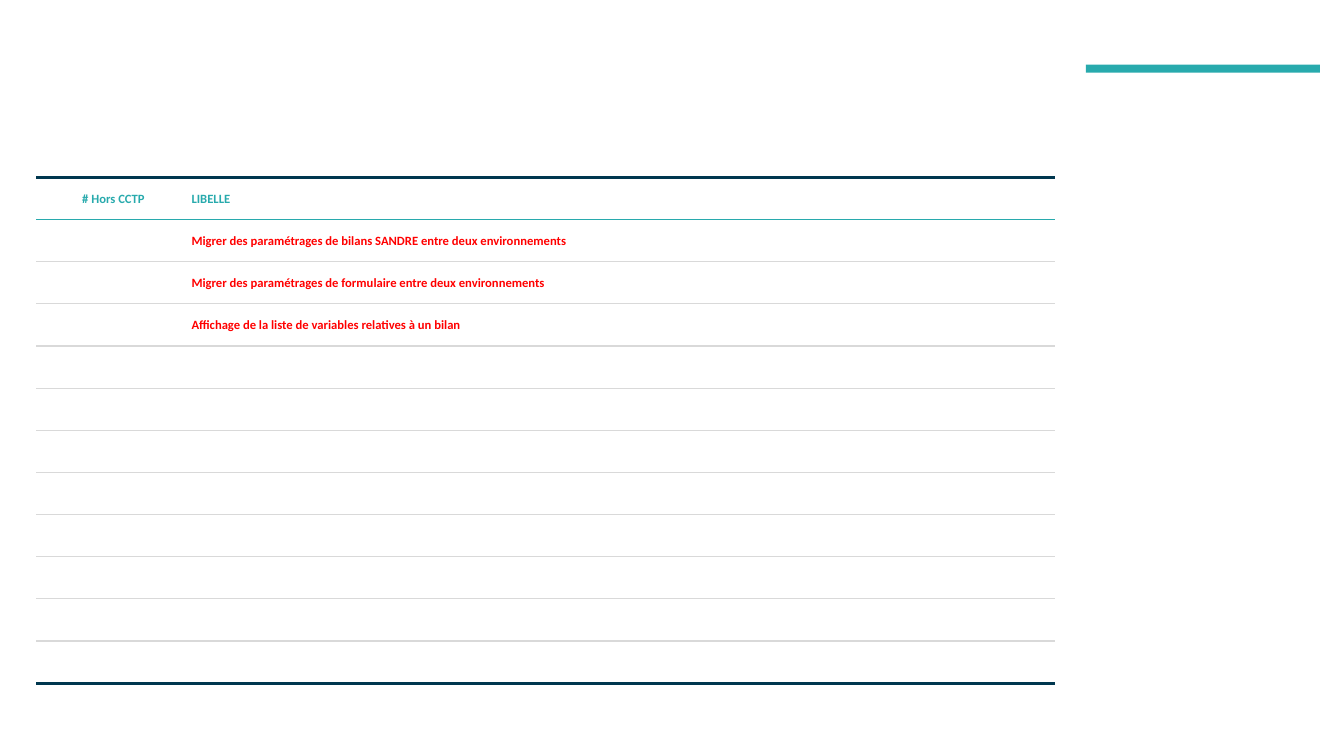
import dataclasses

import pptx
import pptx.dml.color
import pptx.enum.text
import pptx.oxml
import pptx.oxml.ns
import pptx.util

SLIDE_WIDTH, SLIDE_HEIGHT = 13.33, 7.5
TABLE_LEFT, TABLE_TOP = 0.36, 1.76
TABLE_HEIGHT = 5.02
COLUMN_WIDTHS = (1.53, 8.57)
ROW_COUNT = 12

WHITE, TEAL, NAVY, GREY, RED = "FFFFFF", "28AAAD", "00374F", "D9D9D9", "FF0000"


@dataclasses.dataclass(frozen=True)
class Rule:
    color: str
    points: float


@dataclasses.dataclass(frozen=True)
class Row:
    number: str = ""
    label: str = ""
    color: str = RED


OUTER_RULE, HEADER_RULE, ROW_RULE = Rule(NAVY, 2.25), Rule(TEAL, 1), Rule(GREY, 1)

FILLED_ROWS = [
    Row("# Hors CCTP", "LIBELLE", TEAL),
    Row(label="Migrer des paramétrages de bilans SANDRE entre deux environnements"),
    Row(label="Migrer des paramétrages de formulaire entre deux environnements"),
    Row(label="Affichage de la liste de variables relatives à un bilan"),
]
ROWS = FILLED_ROWS + [Row()] * (ROW_COUNT - len(FILLED_ROWS))
# One rule above each row, and one below the last
RULES = [OUTER_RULE, HEADER_RULE] + [ROW_RULE] * (ROW_COUNT - 2) + [OUTER_RULE]


def rgb(color: str) -> pptx.dml.color.RGBColor:
    return pptx.dml.color.RGBColor.from_string(color)


def paint(shape, color: str) -> None:
    shape.fill.solid()
    shape.fill.fore_color.rgb = rgb(color)


def add_borders(cell, top: Rule, bottom: Rule) -> None:
    """Draw the horizontal borders and clear the vertical ones; call before filling."""
    properties = cell._tc.get_or_add_tcPr()
    namespace = pptx.oxml.ns.nsdecls("a")
    for side, rule in (("L", None), ("R", None), ("T", top), ("B", bottom)):
        if rule is None:
            xml = f'<a:ln{side} {namespace} w="0"><a:noFill/></a:ln{side}>'
        else:
            xml = (
                f'<a:ln{side} {namespace} w="{pptx.util.Pt(rule.points)}"><a:solidFill>'
                f'<a:srgbClr val="{rule.color}"/></a:solidFill></a:ln{side}>'
            )
        properties.append(pptx.oxml.parse_xml(xml))


def write_cell(cell, text: str, color: str, alignment) -> None:
    cell.vertical_anchor = pptx.enum.text.MSO_ANCHOR.MIDDLE
    cell.margin_left = cell.margin_right = cell.margin_top = pptx.util.Inches(0.01)
    cell.margin_bottom = 0
    para = cell.text_frame.paragraphs[0]
    para.text = text
    para.alignment = alignment
    for font in [para.font] + [span.font for span in para.runs]:
        font.name = "Calibri"
        font.size = pptx.util.Pt(9)
        font.bold = True
        font.color.rgb = rgb(color)


def add_accent_bar(page) -> None:
    bar = page.shapes.add_shape(
        pptx.enum.shapes.MSO_SHAPE.RECTANGLE,
        *(pptx.util.Inches(length) for length in (10.77, 0.64, 2.32, 0.08)),
    )
    bar.shadow.inherit = False
    paint(bar, TEAL)
    bar.line.fill.background()


def add_requirements_table(page) -> None:
    frame = page.shapes.add_table(
        ROW_COUNT,
        len(COLUMN_WIDTHS),
        *(
            pptx.util.Inches(length)
            for length in (TABLE_LEFT, TABLE_TOP, sum(COLUMN_WIDTHS), TABLE_HEIGHT)
        ),
    )
    table = frame.table
    table.first_row = table.horz_banding = False
    for column, width in zip(table.columns, COLUMN_WIDTHS):
        column.width = pptx.util.Inches(width)
    alignments = (pptx.enum.text.PP_ALIGN.CENTER, pptx.enum.text.PP_ALIGN.LEFT)
    for index, row in enumerate(ROWS):
        texts = (row.number, row.label)
        for cell, text, alignment in zip(table.rows[index].cells, texts, alignments):
            add_borders(cell, RULES[index], RULES[index + 1])
            paint(cell, WHITE)
            write_cell(cell, text, row.color, alignment)


def main() -> None:
    deck = pptx.Presentation()
    deck.slide_width = pptx.util.Inches(SLIDE_WIDTH)
    deck.slide_height = pptx.util.Inches(SLIDE_HEIGHT)
    page = deck.slides.add_slide(deck.slide_layouts.get_by_name("Blank"))
    paint(page.background, WHITE)
    add_accent_bar(page)
    add_requirements_table(page)
    deck.save("out.pptx")


if __name__ == "__main__":
    main()
